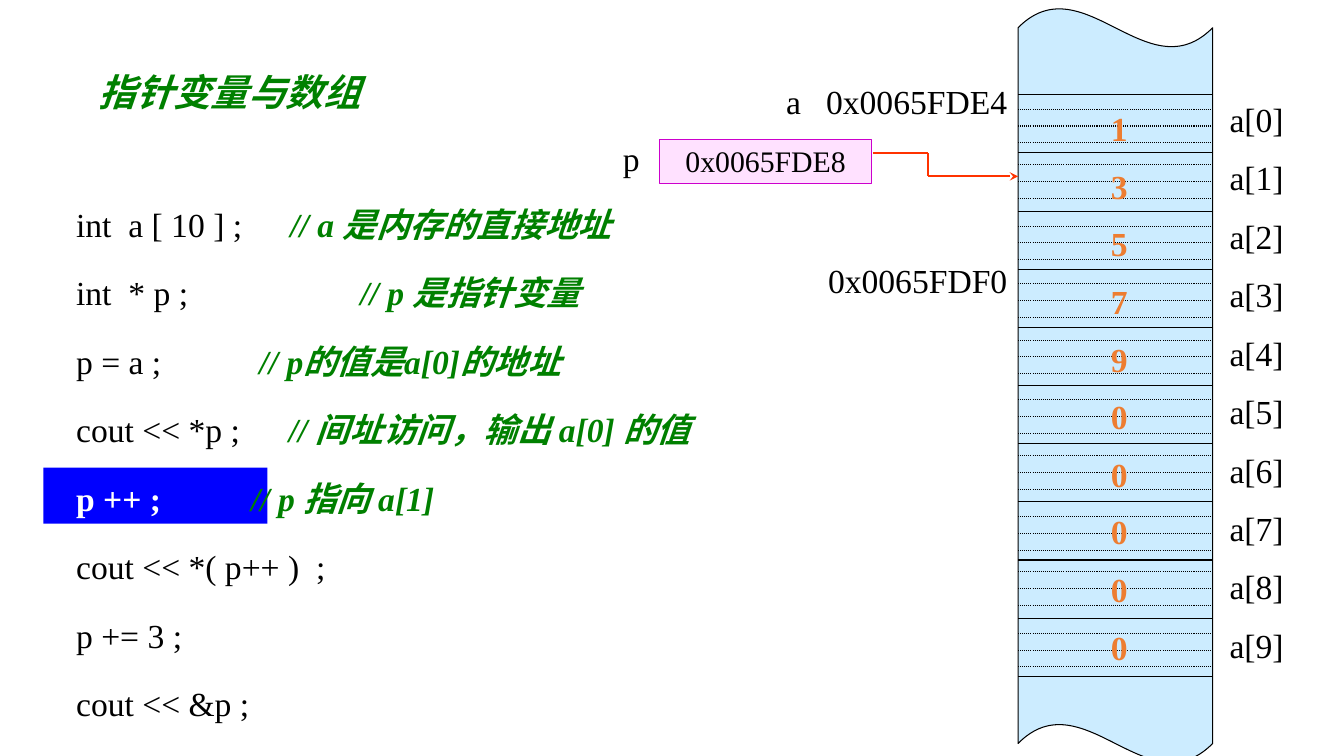
from itertools import pairwise

from lxml.etree import SubElement
from pptx import Presentation
from pptx.dml.color import RGBColor
from pptx.enum.dml import MSO_LINE
from pptx.enum.shapes import MSO_CONNECTOR, MSO_SHAPE
from pptx.enum.text import MSO_AUTO_SIZE, PP_ALIGN
from pptx.oxml.ns import qn
from pptx.util import Pt

BLACK, WHITE, GREEN, ORANGE, RED = "000000", "FFFFFF", "008000", "ED7D31", "FF3300"
CODE = {"color": BLACK}
STRONG = {"color": WHITE, "bold": True}
COMMENT = {"color": GREEN, "bold": True, "italic": True}

CODE_LINES = [
    ("int  a [ 10 ] ;", "// a 是内存的直接地址", 153),
    ("int  * p ;", "// p 是指针变量", 203),
    ("p = a ;", "// p的值是a[0]的地址", 131),
    ("cout << *p ;", "// 间址访问，输出 a[0] 的值", 152),
    ("p ++ ;", "// p 指向 a[1]", 125),
    ("cout << *( p++ )  ;", None, None),
    ("p += 3 ;", None, None),
    ("cout << &p ;", None, None),
]
CURRENT_LINE = 4
ARRAY_VALUES = [1, 3, 5, 7, 9, 0, 0, 0, 0, 0]

MEMORY_LEFT, MEMORY_RIGHT = 727.2, 866.2
CELL_TOP, CELL_HEIGHT = 67.7, 41.54
BYTE_HEIGHT = 12
CELL_MIDDLES = [90, 129.6, 173.5, 214.6, 254.9, 297.4, 337.7, 380.9, 420.5, 464.4]
ARROW_POINTS = [(623.5, 109.4), (663.1, 109.4), (663.1, 126), (727.2, 126)]


def color(value):
    return RGBColor.from_string(value)


class SlideBuilder:
    font_name = "Times New Roman"

    def __init__(self, slide):
        self.slide = slide

    def shape(self, kind, left, top, width, height, fill, outline=None, adjustments=()):
        shape = self.slide.shapes.add_shape(
            kind, Pt(left), Pt(top), Pt(width), Pt(height))
        shape.shadow.inherit = False
        shape.fill.solid()
        shape.fill.fore_color.rgb = color(fill)
        if outline:
            shape.line.color.rgb = color(outline)
            shape.line.width = Pt(0.75)
        else:
            shape.line.fill.background()
        for index, value in enumerate(adjustments):
            shape.adjustments[index] = value

    def line(self, start, end, stroke=BLACK, width=0.75, dash=None, arrow=False):
        connector = self.slide.shapes.add_connector(
            MSO_CONNECTOR.STRAIGHT, *(Pt(value) for value in (*start, *end)))
        connector.line.color.rgb = color(stroke)
        connector.line.width = Pt(width)
        if dash:
            connector.line.dash_style = dash
        properties = connector._element.spPr
        if arrow:
            SubElement(properties.find(qn("a:ln")), qn("a:tailEnd"), type="stealth")
        SubElement(properties, qn("a:effectLst"))

    def text(self, left, top, width, height, paragraphs, size=24, wrap=True,
             grow=False, inset=7.2, tabs=(), **paragraph_format):
        box = self.slide.shapes.add_textbox(Pt(left), Pt(top), Pt(width), Pt(height))
        frame = box.text_frame
        frame_format = {
            "word_wrap": wrap,
            "auto_size": MSO_AUTO_SIZE.SHAPE_TO_FIT_TEXT if grow else MSO_AUTO_SIZE.NONE,
            "margin_left": Pt(inset),
        }
        for name, value in frame_format.items():
            setattr(frame, name, value)
        for index, runs in enumerate(paragraphs):
            paragraph = frame.add_paragraph() if index else frame.paragraphs[0]
            for name, value in paragraph_format.items():
                setattr(paragraph, name, value)
            if index < len(tabs) and tabs[index]:
                self.tab_stop(paragraph, tabs[index])
            for content, run_format in runs:
                self.run(paragraph, content, size, run_format)

    def tab_stop(self, paragraph, position):
        tab_list = SubElement(paragraph._p.get_or_add_pPr(), qn("a:tabLst"))
        SubElement(tab_list, qn("a:tab"), pos=str(Pt(position)), algn="l")

    def run(self, paragraph, content, size, run_format):
        run = paragraph.add_run()
        run.text = content
        font_format = {"name": self.font_name, "size": Pt(size), **run_format}
        run.font.color.rgb = color(font_format.pop("color"))
        for name, value in font_format.items():
            setattr(run.font, name, value)


def draw_memory(builder):
    count = len(ARRAY_VALUES)
    builder.text(871.2, 54, 64, 448,
                 [[(f"a[{index}]", CODE)] for index in range(count)], line_spacing=1.45)
    builder.text(542.9, 54, 184.3, 43.2, [[("a\t0x0065FDE4", CODE)]],
                 inset=18.7, tabs=[28.5])
    builder.shape(MSO_SHAPE.WAVE, MEMORY_LEFT, 5.8, MEMORY_RIGHT - MEMORY_LEFT, 539.3,
                  "CCECFF", BLACK, (0.026, 0))
    for index in range(count + 1):
        y = CELL_TOP + index * CELL_HEIGHT
        builder.line((MEMORY_LEFT, y), (MEMORY_RIGHT, y))
    for middle in CELL_MIDDLES:
        for step in (-1, 0, 1):
            y = middle + step * BYTE_HEIGHT
            builder.line((MEMORY_LEFT, y), (MEMORY_RIGHT, y), dash=MSO_LINE.ROUND_DOT)
    builder.text(574.6, 182.2, 152, 43.2, [[("0x0065FDF0", CODE)]],
                 alignment=PP_ALIGN.RIGHT)
    builder.text(786.2, 61.2, 26.6, 423.4,
                 [[(str(value), {"color": ORANGE, "bold": True})] for value in ARRAY_VALUES],
                 wrap=False, grow=True, alignment=PP_ALIGN.CENTER, line_spacing=1.43)


def draw_code(builder):
    paragraphs = []
    for index, (code, comment, _) in enumerate(CODE_LINES):
        style = STRONG if index == CURRENT_LINE else CODE
        if comment:
            paragraphs.append([(code + "\t", style), (comment, COMMENT)])
        else:
            paragraphs.append([(code, style)])
    builder.text(47.3, 121.7, 492.5, 402.5, paragraphs, grow=True,
                 tabs=[position for _, _, position in CODE_LINES], line_spacing=1.7)


def draw_pointer(builder):
    builder.shape(MSO_SHAPE.RECTANGLE, 470.9, 99.4, 152, 31.7, "FFE1FF", "CC00CC")
    builder.text(437.8, 95, 26.6, 36, [[("p", CODE)]], wrap=False, grow=True)
    builder.text(481.7, 98.6, 130.3, 33.1, [[("0x0065FDE8", CODE)]], size=21.3,
                 wrap=False, grow=True, alignment=PP_ALIGN.CENTER)
    for start, end in pairwise(ARROW_POINTS):
        builder.line(start, end, RED, 1.5, arrow=end == ARROW_POINTS[-1])


def main():
    presentation = Presentation()
    presentation.slide_width = Pt(960)
    presentation.slide_height = Pt(540)
    builder = SlideBuilder(presentation.slides.add_slide(presentation.slide_layouts[6]))
    builder.shape(MSO_SHAPE.RECTANGLE, 31, 334, 160, 40, "0000FF")
    draw_memory(builder)
    draw_code(builder)
    draw_pointer(builder)
    builder.text(63.4, 46.1, 210.2, 39.6, [[("指针变量与数组", COMMENT)]],
                 size=26.7, wrap=False, grow=True)
    presentation.save("out.pptx")


if __name__ == "__main__":
    main()
